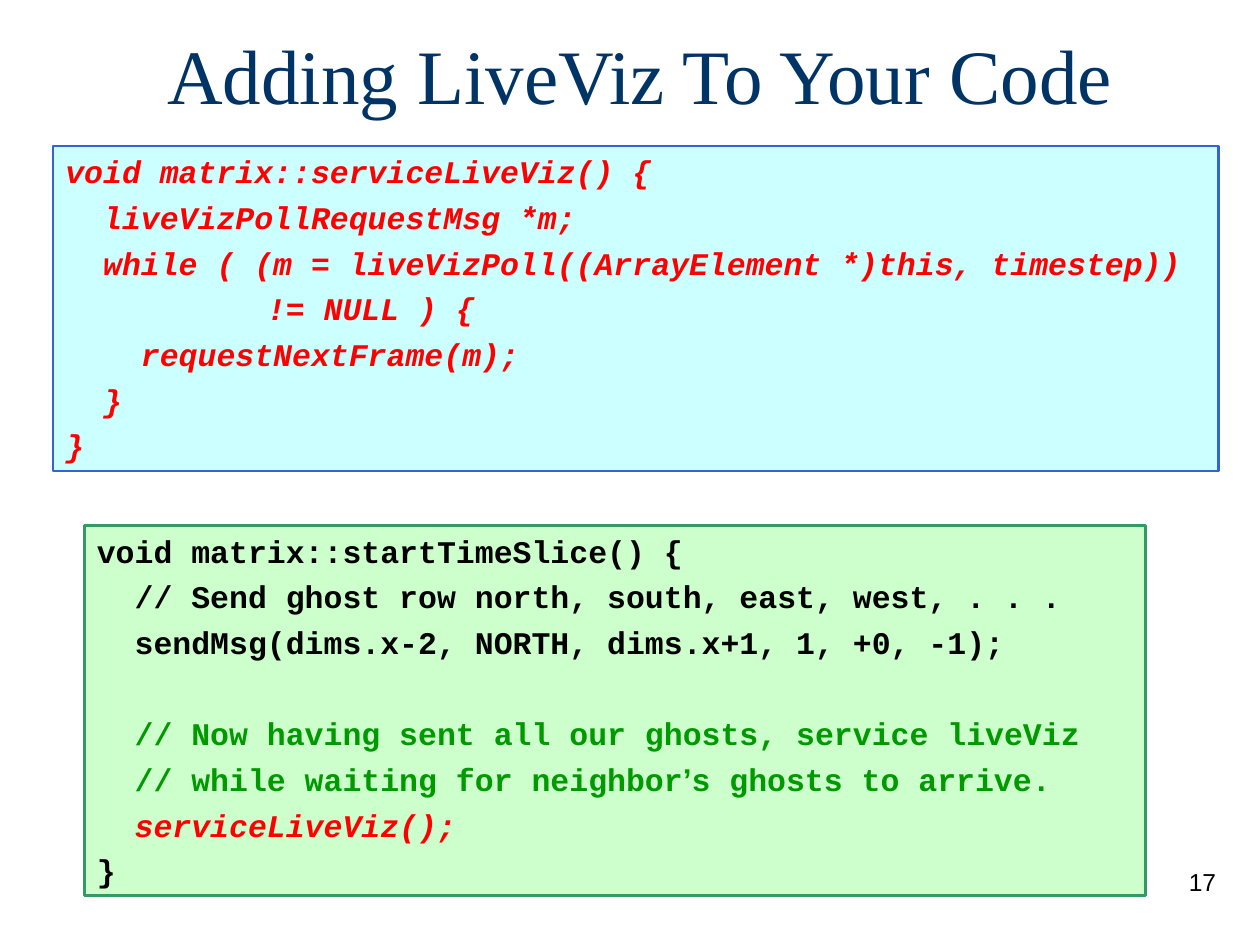
from pptx import Presentation
from pptx.dml.color import RGBColor as RGB
from pptx.enum.shapes import MSO_SHAPE as SHAPE
from pptx.enum.text import MSO_ANCHOR as ANCHOR, PP_ALIGN as ALIGN
from pptx.util import Inches, Pt

COLORS = {"title": "003366", "text": "000000", "new": "FF0000", "comment": "009900",
          "cyan": "CCFFFF", "blue": "3366CC", "mint": "CCFFCC", "green": "339966"}
CHAR = 0.15
LINE_GAP = 4.5
LINE_PITCH = 26.1


class Deck:
    """Hold the style and the current slide, and add each kind of element."""

    def __init__(self, prs):
        self.s = prs.slides.add_slide(prs.slide_layouts[5])
        self.code_font = {"name": "Courier New", "size": Pt(18), "bold": True}
        self.styles = {"text": {"italic": False}, "comment": {"italic": False},
                       "new": {"italic": True}}

    def run(self, p, text, color, **fmt):
        r = p.add_run()
        r.text = text
        r.font.color.rgb = RGB.from_string(COLORS[color])
        for key, value in fmt.items():
            setattr(r.font, key, value)

    def title(self, text, box):
        sp = self.s.shapes.title
        sp.left, sp.top, sp.width, sp.height = map(Inches, box)
        tf = sp.text_frame
        tf.vertical_anchor = ANCHOR.MIDDLE
        p = tf.paragraphs[0]
        p.alignment = ALIGN.CENTER
        self.run(p, text, "title", name="Times New Roman", size=Pt(44))

    def number(self, text, box):
        tf = self.s.shapes.add_textbox(*map(Inches, box)).text_frame
        tf.word_wrap = True
        p = tf.paragraphs[0]
        p.alignment = ALIGN.RIGHT
        p.space_before = Pt(1.5)
        self.run(p, text, "text", name="Arial", size=Pt(14))

    def code(self, box, fill, line, rows):
        sp = self.s.shapes.add_shape(SHAPE.RECTANGLE, *map(Inches, box))
        sp.shadow.inherit = False
        sp.fill.solid()
        sp.fill.fore_color.rgb = RGB.from_string(COLORS[fill])
        sp.line.color.rgb = RGB.from_string(COLORS[line])
        sp.line.width = Pt(1.5)
        tf = sp.text_frame
        tf.word_wrap = True
        tf.vertical_anchor = ANCHOR.TOP
        for i, (skip, indent, style, text) in enumerate(rows):
            p = tf.add_paragraph() if i else tf.paragraphs[0]
            p.alignment = ALIGN.LEFT
            p.space_before = Pt(LINE_GAP + skip * LINE_PITCH)
            p._p.get_or_add_pPr().set("marL", str(Inches(indent * CHAR)))
            for part in text.replace("’", "|’|").split("|"):
                fmt = {**self.code_font, **self.styles[style]}
                if part == "’":
                    fmt["name"] = "Arial"
                self.run(p, part, style, **fmt)


prs = Presentation()
prs.slide_width, prs.slide_height = Inches(10), Inches(7.5)
deck = Deck(prs)
deck.title("Adding LiveViz To Your Code", (0.83, 0.17, 8.5, 0.83))
deck.number("17", (7.67, 6.83, 2.08, 0.5))
deck.code((0.42, 1.16, 9.25, 2.58), "cyan", "blue", [
    (0, 0, "new", "void matrix::serviceLiveViz() {"),
    (0, 2, "new", "liveVizPollRequestMsg *m;"),
    (0, 2, "new", "while ( (m = liveVizPoll((ArrayElement *)this, timestep))"),
    (0, 10.67, "new", "!= NULL ) {"),
    (0, 4, "new", "requestNextFrame(m);"),
    (0, 2, "new", "}"),
    (0, 0, "new", "}"),
])
deck.code((0.67, 4.17, 8.42, 2.94), "mint", "green", [
    (0, 0, "text", "void matrix::startTimeSlice() {"),
    (0, 2, "text", "// Send ghost row north, south, east, west, . . ."),
    (0, 2, "text", "sendMsg(dims.x-2, NORTH, dims.x+1, 1, +0, -1);"),
    (1, 2, "comment", "// Now having sent all our ghosts, service liveViz"),
    (0, 2, "comment", "// while waiting for neighbor’s ghosts to arrive."),
    (0, 2, "new", "serviceLiveViz();"),
    (0, 0, "text", "}"),
])
prs.save("out.pptx")
